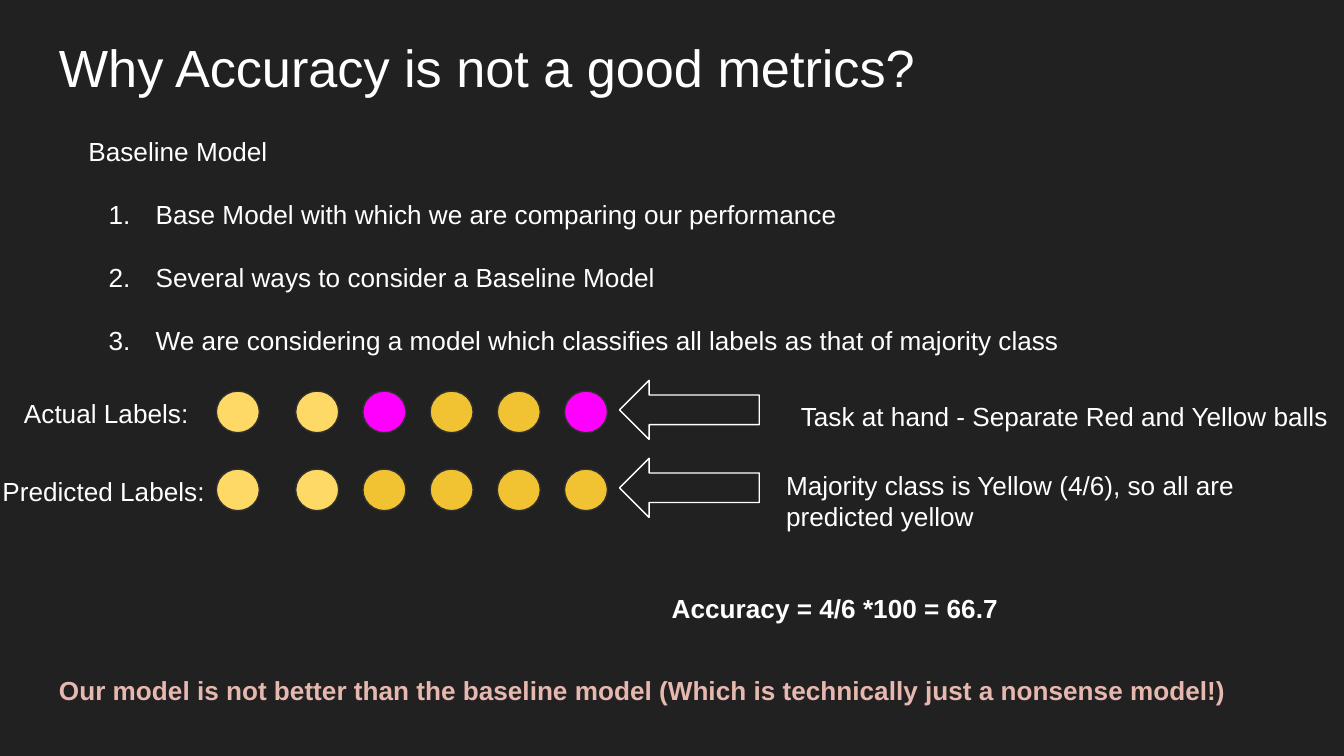
from lxml import etree
from pptx import Presentation
from pptx import util as u
from pptx.dml.color import RGBColor
from pptx.enum import shapes, text
from pptx.oxml import ns

BACKGROUND = RGBColor(0x21, 0x21, 0x21)
WHITE = RGBColor(0xFF, 0xFF, 0xFF)
OUTLINE = RGBColor(0x30, 0x30, 0x30)
LIGHT_YELLOW = RGBColor(0xFF, 0xD9, 0x66)
YELLOW = RGBColor(0xF1, 0xC2, 0x32)
MAGENTA = RGBColor(0xFF, 0x00, 0xFF)
PINK = RGBColor(0xE6, 0xB8, 0xAF)


class Deck:
    body = {"name": "Arial", "size": u.Pt(14), "bold": False}

    def __init__(self, width, height):
        self.presentation = Presentation()
        self.presentation.slide_width = u.Inches(width)
        self.presentation.slide_height = u.Inches(height)
        self.slide = self.presentation.slides.add_slide(self.presentation.slide_layouts[6])
        self.slide.background.fill.solid()
        self.slide.background.fill.fore_color.rgb = BACKGROUND

    def format(self, paragraph, color=WHITE, **changes):
        for key, value in {**self.body, **changes}.items():
            setattr(paragraph.font, key, value)
        paragraph.font.color.rgb = color

    def text(self, at, words, **style):
        frame = self.slide.shapes.add_textbox(*map(u.Inches, at)).text_frame
        layout = {"word_wrap": True, "vertical_anchor": text.MSO_ANCHOR.TOP}
        layout.update({f"margin_{side}": u.Inches(0.1) for side in ("left", "top", "right", "bottom")})
        for key, value in layout.items():
            setattr(frame, key, value)
        frame.paragraphs[0].text = words
        self.format(frame.paragraphs[0], **style)
        return frame

    def numbered(self, frame, items):
        for item in items:
            paragraph = frame.add_paragraph()
            paragraph.text = item
            paragraph.space_before = u.Pt(16.8)
            properties = paragraph._p.get_or_add_pPr()
            properties.set("marL", str(u.Inches(0.5)))
            properties.set("indent", str(u.Inches(-0.35)))
            color = etree.SubElement(properties, ns.qn("a:buClr"))
            etree.SubElement(color, ns.qn("a:srgbClr"), val=str(WHITE))
            etree.SubElement(properties, ns.qn("a:buAutoNum"), type="arabicPeriod")
            self.format(paragraph)

    def outline(self, kind, at, line):
        shape = self.slide.shapes.add_shape(kind, *map(u.Inches, at))
        shape.shadow.inherit = False
        shape.line.color.rgb = line
        shape.line.width = u.Pt(0.75)
        return shape

    def ball(self, left, top, color):
        ball = self.outline(shapes.MSO_SHAPE.FLOWCHART_CONNECTOR, (left, top, 0.32, 0.31), OUTLINE)
        ball.fill.solid()
        ball.fill.fore_color.rgb = color

    def arrow(self, left, top):
        arrow = self.outline(shapes.MSO_SHAPE.LEFT_ARROW, (left, top, 1.04, 0.44), WHITE)
        arrow.fill.background()

    def label_row(self, top, colors):
        lefts = [1.61] + [2.2 + 0.5 * step for step in range(5)]
        for left, color in zip(lefts, colors):
            self.ball(left, top, color)
        self.arrow(4.61, top - 0.08)


def main():
    deck = Deck(10, 5.625)
    deck.text((0.34, 0.16, 9.32, 0.63), "Why Accuracy is not a good metrics?", size=u.Pt(28))
    baseline = deck.text((0.56, 0.91, 8.54, 1.84), "Baseline Model")
    deck.numbered(baseline, [
        "Base Model with which we are comparing our performance",
        "Several ways to consider a Baseline Model",
        "We are considering a model which classifies all labels as that of majority class",
    ])

    start = [LIGHT_YELLOW] * 2
    deck.label_row(2.91, start + [MAGENTA, YELLOW, YELLOW, MAGENTA])
    deck.label_row(3.49, start + [YELLOW] * 4)

    for left, top, width, words in [
        (0.08, 2.86, 1.51, "Actual Labels:"),
        (5.86, 2.88, 4.22, "Task at hand - Separate Red and Yellow balls"),
        (-0.08, 3.44, 1.73, "Predicted Labels:"),
        (5.75, 3.39, 4.38, "Majority class is Yellow (4/6), so all are predicted yellow"),
    ]:
        deck.text((left, top, width, 0.44), words)

    deck.text((4.9, 4.31, 4.06, 0.44), "Accuracy = 4/6 *100 = 66.7", bold=True)
    deck.text(
        (0.34, 4.92, 9.32, 0.44),
        "Our model is not better than the baseline model (Which is technically just a nonsense model!)",
        color=PINK, bold=True,
    )
    deck.presentation.save("out.pptx")


if __name__ == "__main__":
    main()
